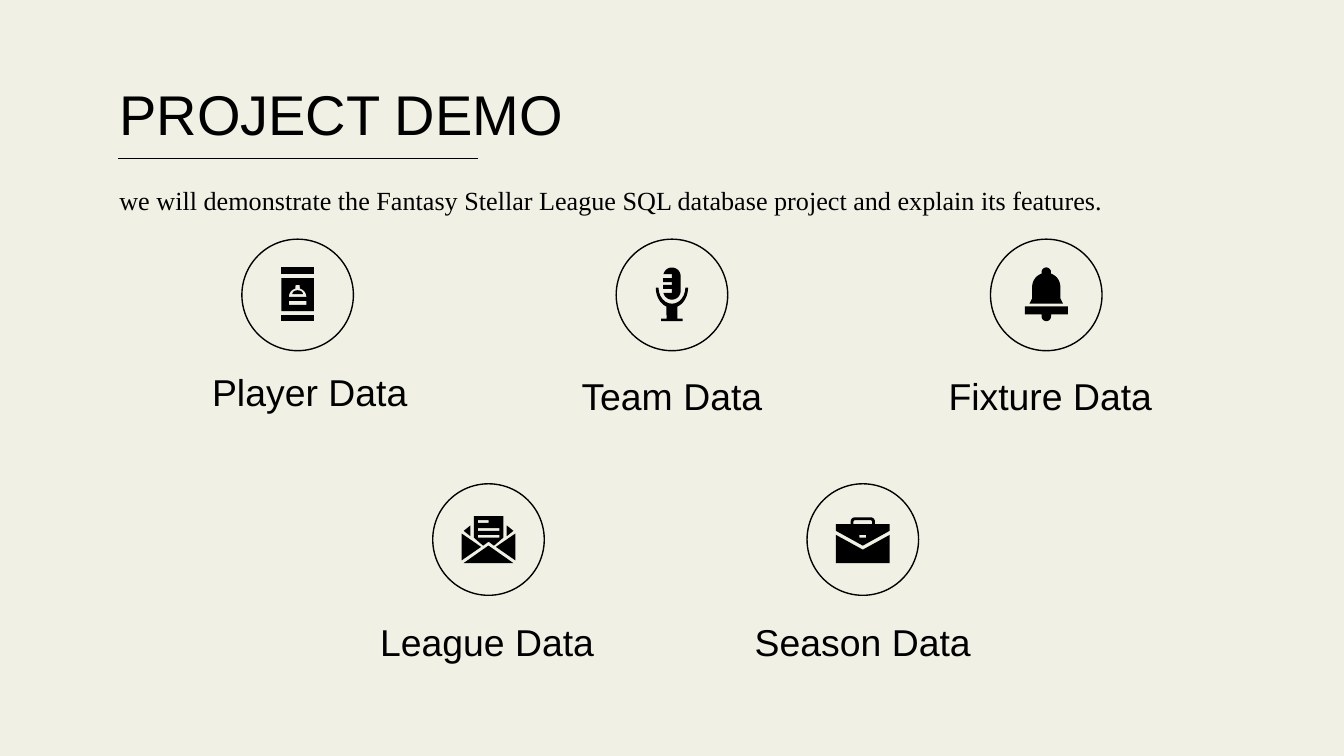
from math import cos, radians, sin

from lxml import etree
from pptx import Presentation
from pptx.dml.color import RGBColor
from pptx.enum.shapes import MSO_CONNECTOR, MSO_SHAPE
from pptx.enum.text import MSO_ANCHOR, PP_ALIGN
from pptx.oxml.ns import qn
from pptx.util import Inches, Pt

BLACK = RGBColor(0x00, 0x00, 0x00)
CREAM = RGBColor(0xF0, 0xF1, 0xE4)
RING = 0.83


def arc(cx, cy, rx, ry, start, end, steps=12):
    """Points on an ellipse; degrees run clockwise from the right."""
    angles = [radians(start + (end - start) * i / steps) for i in range(steps + 1)]
    return [(cx + rx * cos(a), cy + ry * sin(a)) for a in angles]


def rect(x1, y1, x2, y2):
    return [(x1, y1), (x2, y1), (x2, y2), (x1, y2)]


def mirror(points):
    return [(-x, y) for x, y in points]


# An icon is a list of pieces, a piece a list of contours (the later ones are
# holes or islands), in hundredths of an inch from the centre of the ring.
CAN = [
    [rect(-12, -20.5, 12, -15.5)],
    [rect(-12, 14.5, 12, 19.5)],
    [rect(-12, -12.5, 12, 12),
     arc(0, 1.5, 6.5, 6.5, 180, 255) + [(-1.5, -7.5), (1.5, -7.5)]
     + arc(0, 1.5, 6.5, 6.5, 285, 360),
     arc(0, -0.5, 4, 3, 180, 360),
     rect(-6.5, 4.5, 6.5, 7.5)],
]
MICROPHONE = [
    [arc(0, -5.5, 10, 12, 0, 180) + arc(0, -5.5, 12, 15, 180, 110)
     + [(-4, 17.5), (-8, 17.5), (-8, 19.5), (8, 19.5), (8, 17.5), (4, 17.5)]
     + arc(0, -5.5, 12, 15, 70, 0)],
    [arc(0, -14, 6.5, 6.5, 193, 360) + arc(0, -3, 6.5, 6.5, 0, 167)
     + [(0, -1.5), (0, -4.5), (-6.5, -4.5), (-6.5, -7.5), (0, -7.5),
        (0, -9.5), (-6.5, -9.5), (-6.5, -12.5), (0, -12.5), (0, -15.5)]],
]
BELL = [
    [[(-12.5, 6.5), (-10.5, 2.5)] + arc(0, -6, 10.5, 10.5, 180, 250)
     + arc(0, -17, 3.5, 3.5, 160, 380) + arc(0, -6, 10.5, 10.5, 290, 360)
     + [(10.5, 2.5), (12.5, 6.5)]],
    [[(-16, 14.5), (-16, 8.5), (16, 8.5), (16, 14.5), (3.5, 14.5)]
     + arc(0, 16, 3.5, 3.5, 0, 180) + [(-3.5, 14.5)]],
]
FLAP = [(13.5, -10.5), (13.5, -2.5), (18.5, -6.5)]
SIDE = [(20, -4.5), (5.5, 5.5), (20, 15.5)]
LETTER = [
    [FLAP], [mirror(FLAP)], [SIDE], [mirror(SIDE)],
    [[(0, 4.5), (-18.5, 17.5), (18.5, 17.5)]],
    [[(-11, -17.5), (11, -17.5), (11, -1.5), (4, 4.5), (0, 1.5), (-4, 4.5), (-11, -1.5)],
     rect(-8, -14.5, 0, -12.5), rect(-8, -8.5, 8, -6.5), rect(-8, -3.5, 8, -1.5)],
]
BRIEFCASE = [
    [[(-20, -11.5), (-9, -11.5)] + arc(-6, -13.5, 3, 3, 180, 270)
     + arc(6, -13.5, 3, 3, 270, 360)
     + [(9, -11.5), (20, -11.5), (20, -6.5), (0, 4.5), (-20, -6.5)],
     [(-7, -11.5)] + arc(-5.5, -13, 1.5, 1.5, 180, 270)
     + arc(5.5, -13, 1.5, 1.5, 270, 360) + [(7, -11.5)],
     rect(-2.5, -3.5, 2.5, -1.5)],
    [[(-20, -3.5), (0, 7.5), (20, -3.5), (20, 17.5), (-20, 17.5)]],
]

TITLE = "PROJECT DEMO"
INTRO = ("we will demonstrate the Fantasy Stellar League SQL database project "
         "and explain its features.")
# ring left of the first item, ring top, items: label, label box, icon
ROWS = [
    (1.8, 1.78, [("Player Data", (0.88, 2.69, 2.85, 0.49), CAN),
                 ("Team Data", (3.81, 2.72, 2.38, 0.49), MICROPHONE),
                 ("Fixture Data", (6.42, 2.72, 2.79, 0.49), BELL)]),
    (3.22, 3.6, [("League Data", (2.2, 4.55, 2.85, 0.49), LETTER),
                 ("Season Data", (5.23, 4.55, 2.38, 0.49), BRIEFCASE)]),
]
COLUMN_STEP = (7.37 - 1.8) / 2


def add_text(slide, text, box, size, font="Arial", inset=0.1,
             anchor=MSO_ANCHOR.TOP, align=PP_ALIGN.LEFT):
    tf = slide.shapes.add_textbox(*map(Inches, box)).text_frame
    frame_format = {"word_wrap": True, "vertical_anchor": anchor,
                    "margin_top": Inches(inset), "margin_bottom": Inches(inset)}
    for name, value in frame_format.items():
        setattr(tf, name, value)
    p = tf.paragraphs[0]
    p.alignment = align
    r = p.add_run()
    r.text = text
    for name, value in {"name": font, "size": Pt(size)}.items():
        setattr(r.font, name, value)
    r.font.color.rgb = BLACK


def add_ring(slide, left, top):
    s = slide.shapes.add_shape(MSO_SHAPE.ROUNDED_RECTANGLE,
                               *map(Inches, (left, top, RING, RING)))
    s.adjustments[0] = 0.5
    s.shadow.inherit = False
    s.fill.background()
    s.line.color.rgb = BLACK
    s.line.width = Pt(0.75)


def add_icon(slide, icon, cx, cy):
    group = slide.shapes.add_group_shape()
    for piece in icon:
        contours = [[(Inches(cx + x / 100), Inches(cy + y / 100)) for x, y in contour]
                    for contour in piece]
        builder = group.shapes.build_freeform(*contours[0][0])
        for i, contour in enumerate(contours):
            if i:
                builder.move_to(*contour[0])
            builder.add_line_segments(contour[1:], close=True)
        s = builder.convert_to_shape()
        s.shadow.inherit = False
        s.fill.solid()
        s.fill.fore_color.rgb = BLACK
        s.line.fill.background()


def main():
    prs = Presentation()
    prs.slide_width = Inches(10)
    prs.slide_height = prs.slide_width * 9 // 16
    slide = prs.slides.add_slide(prs.slide_layouts[6])
    slide.background.fill.solid()
    slide.background.fill.fore_color.rgb = CREAM

    add_text(slide, TITLE, (0.79, 0.49, 8.43, 0.63), 30)
    rule = slide.shapes.add_connector(MSO_CONNECTOR.STRAIGHT,
                                      *map(Inches, (3.56, 1.18, 0.88, 1.18)))
    rule.line.color.rgb = BLACK
    rule.line.width = Pt(0.75)
    etree.SubElement(rule._element.spPr, qn("a:effectLst"))
    add_text(slide, INTRO, (0.79, 1.32, 7.94, 0.34), 14, "Times New Roman", 0.05)

    for first_left, top, items in ROWS:
        for i, (label, box, icon) in enumerate(items):
            left = first_left + i * COLUMN_STEP
            add_ring(slide, left, top)
            add_icon(slide, icon, left + RING / 2, top + RING / 2)
            add_text(slide, label, box, 20, anchor=MSO_ANCHOR.BOTTOM,
                     align=PP_ALIGN.CENTER)

    prs.save("out.pptx")


if __name__ == "__main__":
    main()
